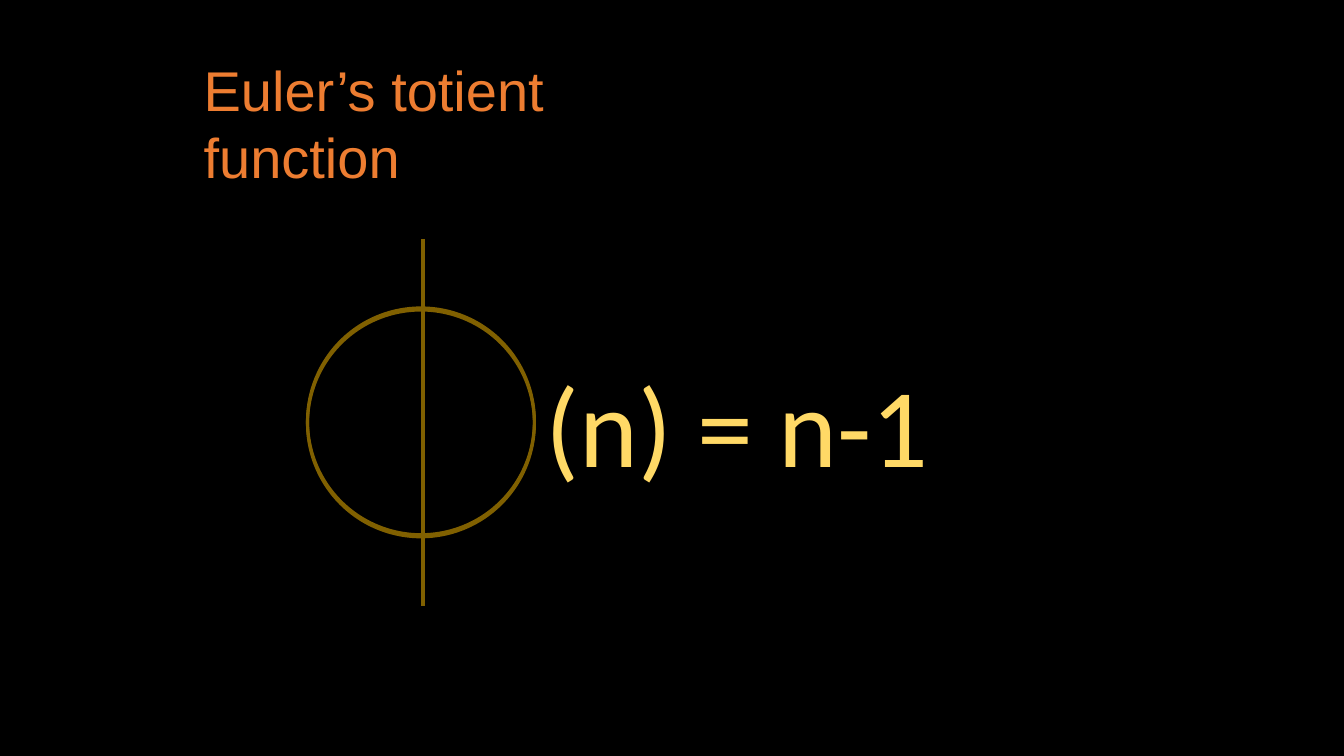
import pptx
import pptx.dml.color
import pptx.enum.shapes
import pptx.enum.text
import pptx.util
import lxml.etree

Inches = pptx.util.Inches
Pt = pptx.util.Pt

ORANGE, YELLOW, BROWN, BLACK = "ED7D31", "FFD966", "806000", "000000"


def color(hex_value):
    return pptx.dml.color.RGBColor.from_string(hex_value)


def fill_text(shape, text, font_name, size, hex_value):
    frame = shape.text_frame
    frame.text = text
    frame.word_wrap = True
    frame.auto_size = pptx.enum.text.MSO_AUTO_SIZE.NONE
    frame.vertical_anchor = pptx.enum.text.MSO_ANCHOR.TOP
    paragraph = frame.paragraphs[0]
    paragraph.alignment = pptx.enum.text.PP_ALIGN.LEFT
    paragraph.font.name = font_name
    paragraph.font.size = Pt(size)
    paragraph.font.color.rgb = color(hex_value)
    return paragraph


def add_title(slide, left, top, width, height):
    title = slide.shapes.title
    title.left, title.top = Inches(left), Inches(top)
    title.width, title.height = Inches(width), Inches(height)
    paragraph = fill_text(title, "Euler’s totient function", "Arial", 40, ORANGE)
    paragraph.line_spacing = Pt(48)


def add_formula(slide, left, top, width, height):
    box = slide.shapes.add_textbox(
        Inches(left), Inches(top), Inches(width), Inches(height))
    fill_text(box, "(n) = n-1", "Calibri", 80, YELLOW)


def add_phi(slide, left, top, diameter, stem_length):
    """Draw the letter phi: a ring centred on a vertical stem."""
    group = slide.shapes.add_group_shape()

    # Ring
    ring_top = top + (stem_length - diameter) / 2
    ring = group.shapes.add_shape(
        pptx.enum.shapes.MSO_SHAPE.OVAL,
        Inches(left), Inches(ring_top), Inches(diameter), Inches(diameter))
    ring.shadow.inherit = False
    ring.fill.background()

    # Stem
    center = Inches(left + diameter / 2 + 0.02)
    stem = group.shapes.add_connector(
        pptx.enum.shapes.MSO_CONNECTOR.STRAIGHT,
        center, Inches(top), center, Inches(top + stem_length))
    lxml.etree.SubElement(
        stem._element.spPr, pptx.oxml.ns.qn("a:effectLst"))

    for part in (ring, stem):
        part.line.color.rgb = color(BROWN)
        part.line.width = Pt(2.25)


def build_totient_slide(presentation):
    slide = presentation.slides.add_slide(presentation.slide_layouts[5])
    slide.background.fill.solid()
    slide.background.fill.fore_color.rgb = color(BLACK)

    add_title(slide, 1.92, 0.5, 5.08, 0.77)
    add_formula(slide, 5.31, 3.48, 4.05, 1.45)
    # Two overlapping strokes thicken the ring
    for top in (2.39, 2.37):
        add_phi(slide, 3.05, top, 2.25, 3.62)


def main():
    presentation = pptx.Presentation()
    presentation.slide_width = Inches(13.33)
    presentation.slide_height = Inches(7.5)
    build_totient_slide(presentation)
    presentation.save("out.pptx")


if __name__ == "__main__":
    main()
